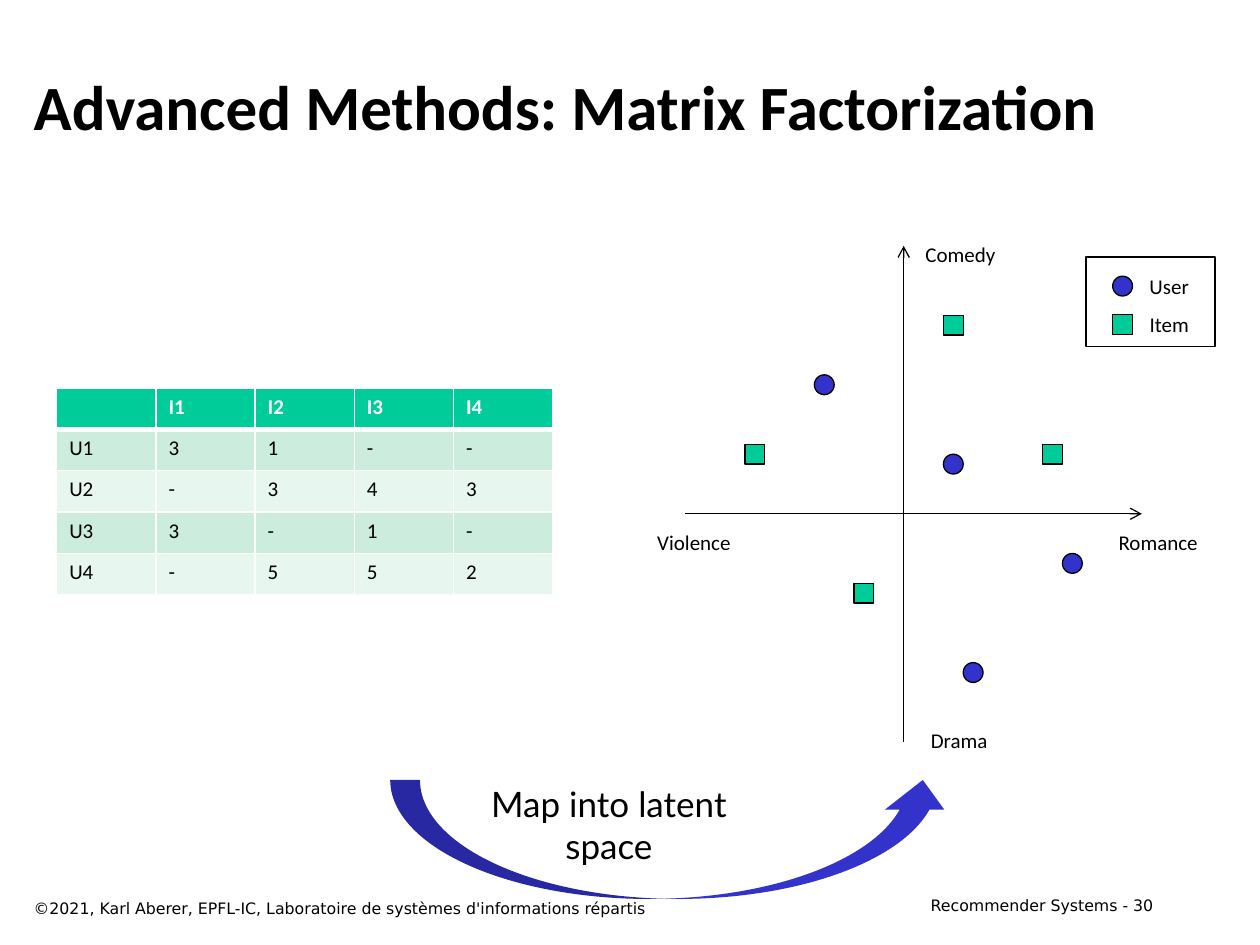
from lxml import etree
from pptx import Presentation
from pptx.dml.color import RGBColor
from pptx.enum import shapes, text
from pptx.oxml import ns
from pptx.util import Pt

BLACK = RGBColor(0x00, 0x00, 0x00)
WHITE = RGBColor(0xFF, 0xFF, 0xFF)
GREEN = RGBColor(0x00, 0xCC, 0x99)
BLUE = RGBColor(0x33, 0x33, 0xCC)
BAND_DARK = RGBColor(0xCC, 0xEC, 0xDE)
BAND_LIGHT = RGBColor(0xE7, 0xF6, 0xEF)

LEFT, CENTER, RIGHT = text.PP_ALIGN.LEFT, text.PP_ALIGN.CENTER, text.PP_ALIGN.RIGHT
ITEM = (shapes.MSO_SHAPE.RECTANGLE, GREEN)
USER = (shapes.MSO_SHAPE.OVAL, BLUE)
UNIT = 5.67

RATINGS = [
    ["", "I1", "I2", "I3", "I4"],
    ["U1", "3", "1", "-", "-"],
    ["U2", "-", "3", "4", "3"],
    ["U3", "3", "-", "1", "-"],
    ["U4", "-", "5", "5", "2"],
]
ITEM_POINTS = [(15, -6), (5, -19), (-4, 8), (-15, -6)]
USER_POINTS = [(-8, -13), (7, 16), (5, -5), (17, 5)]
AXIS_LABELS = [("Romance", 145.4, 16.6), ("Violence", -119.9, 16.6),
               ("Drama", 31.7, 129.6), ("Comedy", 32.4, -148.3)]


def style(para, size, font="Calibri", color=BLACK, bold=False, align=LEFT):
    para.alignment = align
    para.font.size = Pt(size)
    para.font.name = font
    para.font.bold = bold
    para.font.color.rgb = color


def add_text(page, left, top, width, height, words, size, wrap=True,
             anchor=text.MSO_ANCHOR.TOP, **looks):
    box = page.shapes.add_textbox(Pt(left), Pt(top), Pt(width), Pt(height))
    frame = box.text_frame
    frame.word_wrap = wrap
    frame.vertical_anchor = anchor
    frame.text = words
    style(frame.paragraphs[0], size, **looks)


def add_label(page, x, y, words):
    add_text(page, x - 30, y - 10.9, 60, 21.8, words, 12, wrap=False, align=CENTER)


def add_shape(page, kind, left, top, width, height, fill=None, outlined=True):
    shape = page.shapes.add_shape(kind, Pt(left), Pt(top), Pt(width), Pt(height))
    shape.shadow.inherit = False
    if fill is None:
        shape.fill.background()
    else:
        shape.fill.solid()
        shape.fill.fore_color.rgb = fill
    if outlined:
        shape.line.color.rgb = BLACK
        shape.line.width = Pt(0.75)
    else:
        shape.line.fill.background()


def add_marker(page, marker, x, y):
    kind, color = marker
    add_shape(page, kind, x - UNIT, y - UNIT, 2 * UNIT, 2 * UNIT, color)


def add_axis(page, x1, y1, x2, y2):
    axis = page.shapes.add_connector(shapes.MSO_CONNECTOR.STRAIGHT,
                                     Pt(x1), Pt(y1), Pt(x2), Pt(y2))
    axis.line.color.rgb = BLACK
    axis.line.width = Pt(0.75)
    outline = axis.line._get_or_add_ln()
    etree.SubElement(outline, ns.qn("a:tailEnd"), type="arrow")
    etree.SubElement(axis._element.spPr, ns.qn("a:effectLst"))


def set_borders(cell, widths):
    properties = cell._tc.get_or_add_tcPr()
    for place, (side, width) in enumerate(widths.items()):
        border = etree.Element(ns.qn(f"a:ln{side}"), w=str(Pt(width)))
        fill = etree.SubElement(border, ns.qn("a:solidFill"))
        etree.SubElement(fill, ns.qn("a:srgbClr"), val=str(WHITE))
        properties.insert(place, border)


def add_ratings(page, left, top, width, height):
    rows, columns = len(RATINGS), len(RATINGS[0])
    table = page.shapes.add_table(rows, columns, Pt(left), Pt(top),
                                  Pt(width), Pt(height)).table
    for r, values in enumerate(RATINGS):
        header = r == 0
        band = GREEN if header else (BAND_LIGHT, BAND_DARK)[r % 2]
        for c, value in enumerate(values):
            cell = table.cell(r, c)
            cell.text = value
            cell.fill.solid()
            cell.fill.fore_color.rgb = band
            style(cell.text_frame.paragraphs[0], 12,
                  color=WHITE if header else BLACK, bold=header)
            set_borders(cell, {"L": 1, "R": 1, "T": 3 if r == 1 else 1,
                               "B": 3 if header else 1})


def add_latent_space(page, x, y):
    add_axis(page, x, y + 23 * UNIT, x, y - 27 * UNIT)
    add_axis(page, x - 22 * UNIT, y, x + 24 * UNIT, y)
    for marker, points in ((ITEM, ITEM_POINTS), (USER, USER_POINTS)):
        for dx, dy in points:
            add_marker(page, marker, x + dx * UNIT, y + dy * UNIT)
    for words, dx, dy in AXIS_LABELS:
        add_label(page, x + dx, y + dy, words)


def add_legend(page, left, top, width, height):
    add_shape(page, shapes.MSO_SHAPE.RECTANGLE, left, top, width, height)
    for marker, words, dy in ((USER, "User", 16.6), (ITEM, "Item", 38.6)):
        add_marker(page, marker, left + 20.9, top + dy)
        add_label(page, left + 47.5, top + dy, words)


def add_mapping(page, left, top, width, height):
    add_shape(page, shapes.MSO_SHAPE.CURVED_UP_ARROW, left, top, width, height,
              BLUE, outlined=False)
    add_text(page, left + 46, top - 2.2, 158, 55, "Map into latent space", 20,
             font="Lato", align=CENTER)


def add_footer(page, top):
    add_text(page, 12.2, top + 1.5, 462, 18,
             "©2021, Karl Aberer, EPFL-IC, Laboratoire de systèmes d'informations répartis",
             9, font="DejaVu Sans")
    add_text(page, 516.2, top, 149.8, 18, "Recommender Systems - 30", 9,
             font="DejaVu Sans", align=RIGHT)


def main():
    deck = Presentation()
    deck.slide_width, deck.slide_height = Pt(720), Pt(540)
    page = deck.slides.add_slide(deck.slide_layouts[6])
    add_text(page, 12.2, 24, 654, 72, "Advanced Methods: Matrix Factorization", 36,
             anchor=text.MSO_ANCHOR.MIDDLE, bold=True)
    add_ratings(page, 32.4, 221.8, 283.5, 118)
    add_latent_space(page, 516.4, 293.6)
    add_legend(page, 620.6, 146.9, 73.7, 51)
    add_mapping(page, 223, 445.7, 321.3, 68)
    add_footer(page, 508.3)
    deck.save("out.pptx")


if __name__ == "__main__":
    main()
